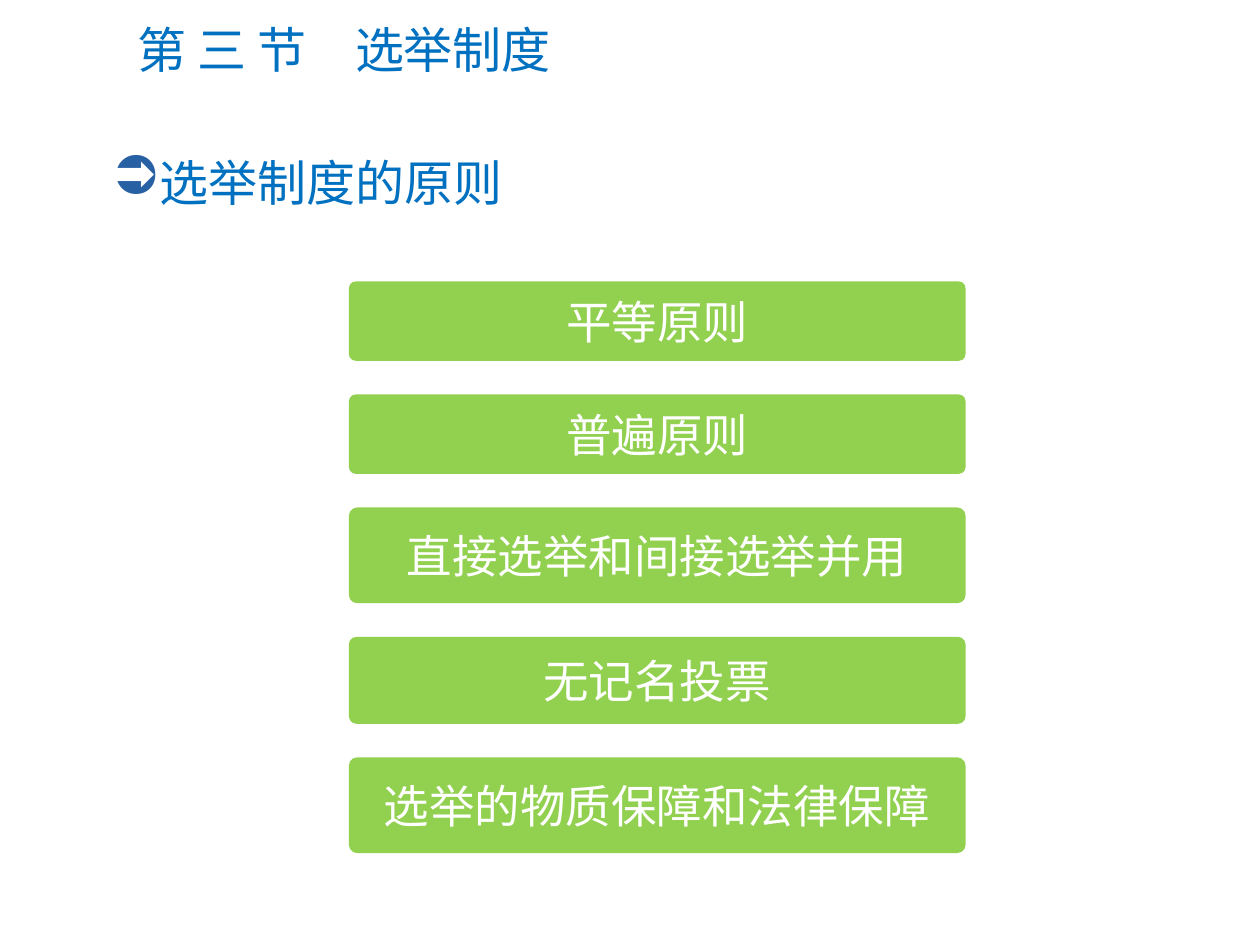
from lxml.etree import SubElement
from pptx import Presentation
from pptx.dml.color import RGBColor
from pptx.enum.shapes import MSO_SHAPE as Shape
from pptx.enum.text import MSO_ANCHOR as Anchor, MSO_AUTO_SIZE as AutoSize, PP_ALIGN as Align
from pptx.oxml.ns import qn
from pptx.util import Pt

TITLE = "第 三 节　选举制度"
HEADING = "选举制度的原则"
# Each principle with the height of its box
PRINCIPLES = [
    ("平等原则", 45.4),
    ("普遍原则", 45.4),
    ("直接选举和间接选举并用", 54.7),
    ("无记名投票", 49.7),
    ("选举的物质保障和法律保障", 54.7),
]
COLORS = {"blue": "0070C0", "bullet": "2860A4", "green": "92D050", "white": "FFFFFF"}
FONT = "Calibri"
BOX_LEFT, BOX_TOP, BOX_WIDTH, BOX_GAP = 199.4, 160.8, 352.4, 19.2
BOX_ROUNDING = 0.087
BULLET_INDENT = 27


def color(name):
    return RGBColor.from_string(COLORS[name])


def place(shape, left, top, width, height):
    shape.left, shape.top = Pt(left), Pt(top)
    shape.width, shape.height = Pt(width), Pt(height)


def write(shape, text, *, size, text_color, align=Align.LEFT, anchor=Anchor.MIDDLE, space_before=0):
    frame = shape.text_frame
    frame.word_wrap = True
    frame.vertical_anchor = anchor
    paragraph = frame.paragraphs[0]
    paragraph.alignment = align
    paragraph.space_before = Pt(space_before)
    run = paragraph.add_run()
    run.text = text
    run.font.name = FONT
    run.font.size = Pt(size)
    run.font.color.rgb = color(text_color)
    return paragraph


def add_bullet(paragraph, character, bullet_color, percent):
    properties = paragraph._p.get_or_add_pPr()
    properties.set("marL", str(Pt(BULLET_INDENT)))
    properties.set("indent", str(-Pt(BULLET_INDENT)))
    fill = SubElement(properties, qn("a:buClr"))
    SubElement(fill, qn("a:srgbClr"), val=COLORS[bullet_color])
    SubElement(properties, qn("a:buSzPct"), val=str(percent * 1000))
    SubElement(properties, qn("a:buChar"), char=character)


def add_principle(slide, text, top, height):
    box = slide.shapes.add_shape(
        Shape.ROUNDED_RECTANGLE, Pt(BOX_LEFT), Pt(top), Pt(BOX_WIDTH), Pt(height))
    box.adjustments[0] = BOX_ROUNDING
    box.shadow.inherit = False
    box.fill.solid()
    box.fill.fore_color.rgb = color("green")
    box.line.fill.background()
    write(box, text, size=26, text_color="white", align=Align.CENTER, space_before=5.2)


def main():
    presentation = Presentation()
    presentation.slide_width, presentation.slide_height = Pt(720), Pt(540)
    slide = presentation.slides.add_slide(presentation.slide_layouts[5])

    title = slide.shapes.title
    place(title, 71.3, 7.2, 627.8, 41.8)
    write(title, TITLE, size=28, text_color="blue")

    heading = slide.shapes.add_textbox(Pt(56.9), Pt(83.5), Pt(600.5), Pt(41))
    paragraph = write(heading, HEADING, size=28, text_color="blue",
                      anchor=Anchor.TOP, space_before=5.6)
    heading.text_frame.auto_size = AutoSize.SHAPE_TO_FIT_TEXT
    add_bullet(paragraph, "➲", "bullet", 110)

    top = BOX_TOP
    for text, height in PRINCIPLES:
        add_principle(slide, text, top, height)
        top += height + BOX_GAP

    presentation.save("out.pptx")


if __name__ == "__main__":
    main()
